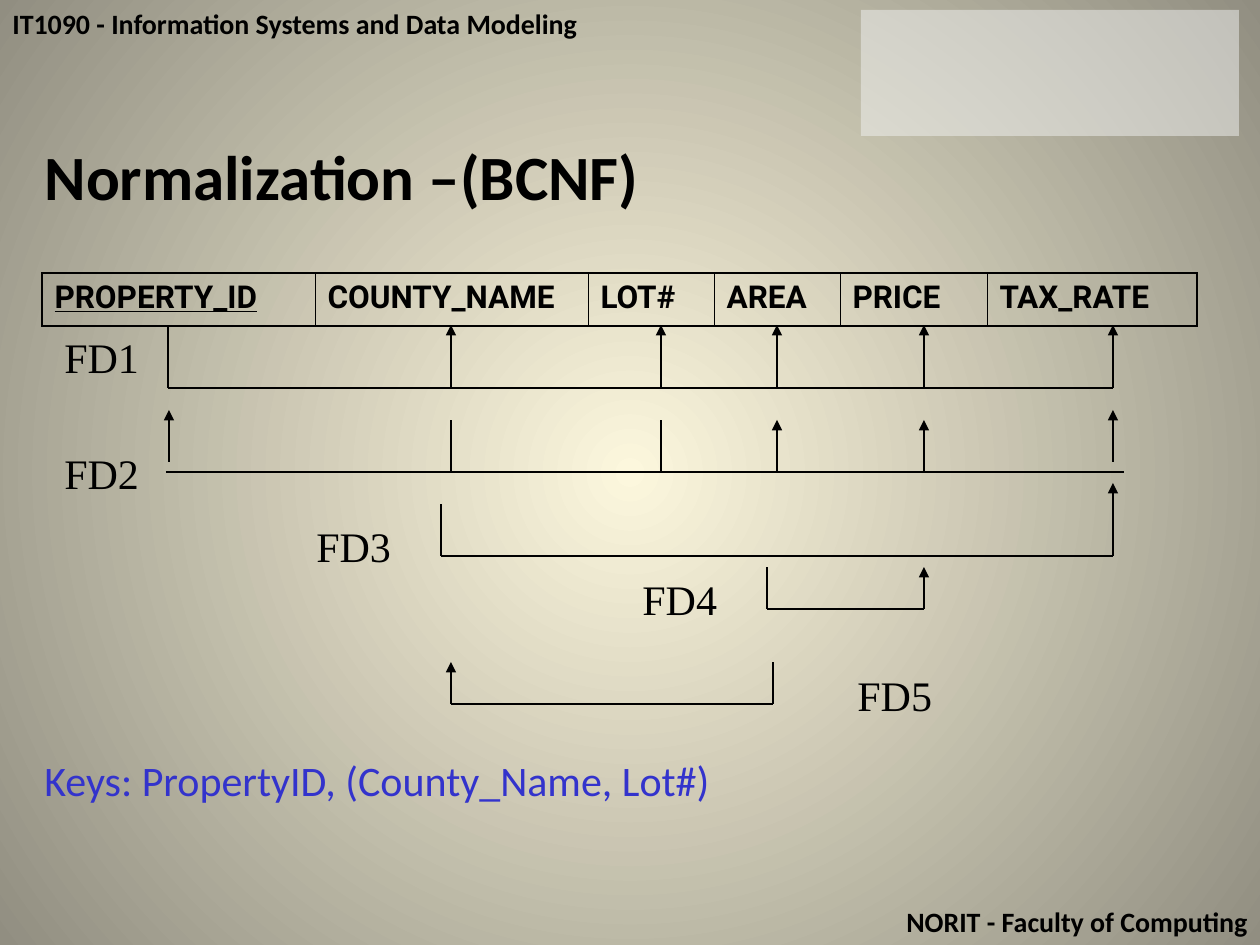
from pptx import Presentation
from pptx.dml.color import RGBColor
from pptx.enum.shapes import MSO_CONNECTOR, MSO_SHAPE
from pptx.enum.text import MSO_ANCHOR, MSO_AUTO_SIZE, PP_ALIGN
from pptx.oxml import parse_xml
from pptx.oxml.ns import nsdecls, qn
from pptx.oxml.xmlchemy import OxmlElement
from pptx.util import Emu, Pt

# Content; lengths are px, 126 to the inch
HEADER = "IT1090 - Information Systems and Data Modeling"
FOOTER = "NORIT - Faculty of Computing"
TITLE = "Normalization –(BCNF)"
KEYS = "Keys: PropertyID, (County_Name, Lot#)"
COLUMNS = [("PROPERTY_ID", 273), ("COUNTY_NAME", 273), ("LOT#", 126),
           ("AREA", 126), ("PRICE", 147), ("TAX_RATE", 210)]
TABLE_LEFT, TABLE_TOP, ROW_HEIGHT = 42, 273, 53
PROPERTY, COUNTY, LOT, AREA, PRICE, TAX = 168, 451, 661, 777, 924, 1113

# Each dependency: label corner, bar (left, right, y), then stems as (x, bottom, top)
DEPENDENCIES = [
    dict(label="FD1", at=(52, 325), bar=(PROPERTY, TAX, 388),
         sources=[(PROPERTY, 388, 325)],
         targets=[(x, 388, 325) for x in (COUNTY, LOT, AREA, PRICE, TAX)]),
    dict(label="FD2", at=(52, 441), bar=(166, 1124, 472),
         sources=[(x, 472, 420) for x in (COUNTY, LOT)],
         targets=[(x, 472, 420) for x in (AREA, PRICE)]
         + [(x, 462, 410) for x in (PROPERTY + 1, TAX)]),
    dict(label="FD3", at=(304, 514), bar=(441, TAX, 556),
         sources=[(441, 556, 504)], targets=[(TAX, 556, 483)]),
    dict(label="FD4", at=(630, 567), bar=(767, PRICE, 609),
         sources=[(767, 609, 567)], targets=[(PRICE, 609, 567)]),
    dict(label="FD5", at=(845, 663), bar=(COUNTY, 773, 704),
         sources=[(773, 704, 662)], targets=[(COUNTY, 704, 662)]),
]

THEME = dict(
    ink="000000", keys="3333CC", panel="F2F2F2", center="FCF7DD", edge="918E81",
    font="Calibri", table_font="Roboto", label_font="Times New Roman",
    title_size=36, body_size=24, table_size=18, band_size=16,
    line=0.75, outer=1.08, inner=0.45,
)


def px(length):
    return Emu(round(length * 914400 / 126))


def color(name):
    return RGBColor.from_string(THEME[name])


def write(frame, text, size="body_size", font="font", ink="ink",
          bold=False, underline=False, align=PP_ALIGN.LEFT):
    para = frame.paragraphs[0]
    para.alignment = align
    span = para.add_run()
    span.text = text
    span.font.size = Pt(THEME[size])
    span.font.name = THEME[font]
    span.font.bold = bold
    span.font.underline = underline
    span.font.color.rgb = color(ink)


def add_text(page, text, left, top, width, height, wrap=True, **style):
    box = page.shapes.add_textbox(px(left), px(top), px(width), px(height))
    box.text_frame.word_wrap = wrap
    write(box.text_frame, text, **style)


def add_line(page, start, end, arrow=False):
    line = page.shapes.add_connector(MSO_CONNECTOR.STRAIGHT, *map(px, start + end))
    line.line.color.rgb = color("ink")
    line.line.width = Pt(THEME["line"])
    if arrow:
        head = OxmlElement("a:tailEnd")
        head.set("type", "triangle")
        line.line._get_or_add_ln().append(head)
    line._element.spPr.append(OxmlElement("a:effectLst"))


def set_borders(cell, first, last):
    outer, inner = THEME["outer"], THEME["inner"]
    widths = dict(lnL=outer if first else inner, lnR=outer if last else inner,
                  lnT=outer, lnB=outer)
    properties = cell._tc.get_or_add_tcPr()
    for position, (side, width) in enumerate(widths.items()):
        properties.insert(position, parse_xml(
            f'<a:{side} {nsdecls("a")} w="{int(Pt(width))}"><a:solidFill>'
            f'<a:srgbClr val="{THEME["ink"]}"/></a:solidFill></a:{side}>'))


def add_background(page):
    fill = page.background.fill
    fill.gradient()
    for stop, name in zip(fill.gradient_stops, ("center", "edge")):
        stop.color.rgb = color(name)
    gradient = page._element.find(".//" + qn("a:gradFill"))
    gradient.remove(gradient.find(qn("a:lin")))
    gradient.find(qn("a:gsLst")).addnext(parse_xml(
        f'<a:path {nsdecls("a")} path="circle">'
        '<a:fillToRect l="50000" t="50000" r="50000" b="50000"/></a:path>'))


def add_panel(page):
    panel = page.shapes.add_shape(MSO_SHAPE.RECTANGLE, px(861), px(10), px(378), px(126))
    panel.shadow.inherit = False
    panel.line.fill.background()
    panel.fill.solid()
    panel.fill.fore_color.rgb = color("panel")
    alpha = OxmlElement("a:alpha")
    alpha.set("val", "50000")
    panel._element.spPr.find(".//" + qn("a:srgbClr")).append(alpha)


def add_relation(page):
    total = sum(width for _, width in COLUMNS)
    table = page.shapes.add_table(1, len(COLUMNS), px(TABLE_LEFT), px(TABLE_TOP),
                                  px(total), px(ROW_HEIGHT)).table
    table.first_row = table.horz_banding = False
    for index, (name, width) in enumerate(COLUMNS):
        table.columns[index].width = px(width)
        cell = table.cell(0, index)
        cell.fill.background()
        set_borders(cell, index == 0, index == len(COLUMNS) - 1)
        write(cell.text_frame, name, size="table_size", font="table_font",
              bold=True, underline=index == 0)


def add_dependency(page, label, at, bar, sources, targets):
    left, right, y = bar
    add_line(page, (left, y), (right, y))
    for stems, arrow in ((sources, False), (targets, True)):
        for x, bottom, top in stems:
            add_line(page, (x, bottom), (x, top), arrow)
    add_text(page, label, *at, 102, 63, wrap=False, font="label_font")


def main():
    deck = Presentation()
    deck.slide_width, deck.slide_height = px(1260), px(945)
    page = deck.slides.add_slide(deck.slide_layouts[5])
    add_background(page)

    # Header and footer bands
    band = dict(size="band_size", bold=True)
    add_text(page, HEADER, 0, 0, 1260, 47, **band)
    add_text(page, FOOTER, 0, 898, 1260, 47, align=PP_ALIGN.RIGHT, **band)
    add_panel(page)

    # Title
    title = page.shapes.title
    title.left, title.top, title.width, title.height = map(px, (32, 131, 1071, 89))
    title.text_frame.auto_size = MSO_AUTO_SIZE.NONE
    title.text_frame.vertical_anchor = MSO_ANCHOR.MIDDLE
    write(title.text_frame, TITLE, size="title_size", bold=True)

    # Relation, its dependencies and its keys
    add_relation(page)
    for dependency in DEPENDENCIES:
        add_dependency(page, **dependency)
    add_text(page, KEYS, 32, 748, 1197, 63, ink="keys")
    deck.save("out.pptx")


if __name__ == "__main__":
    main()
